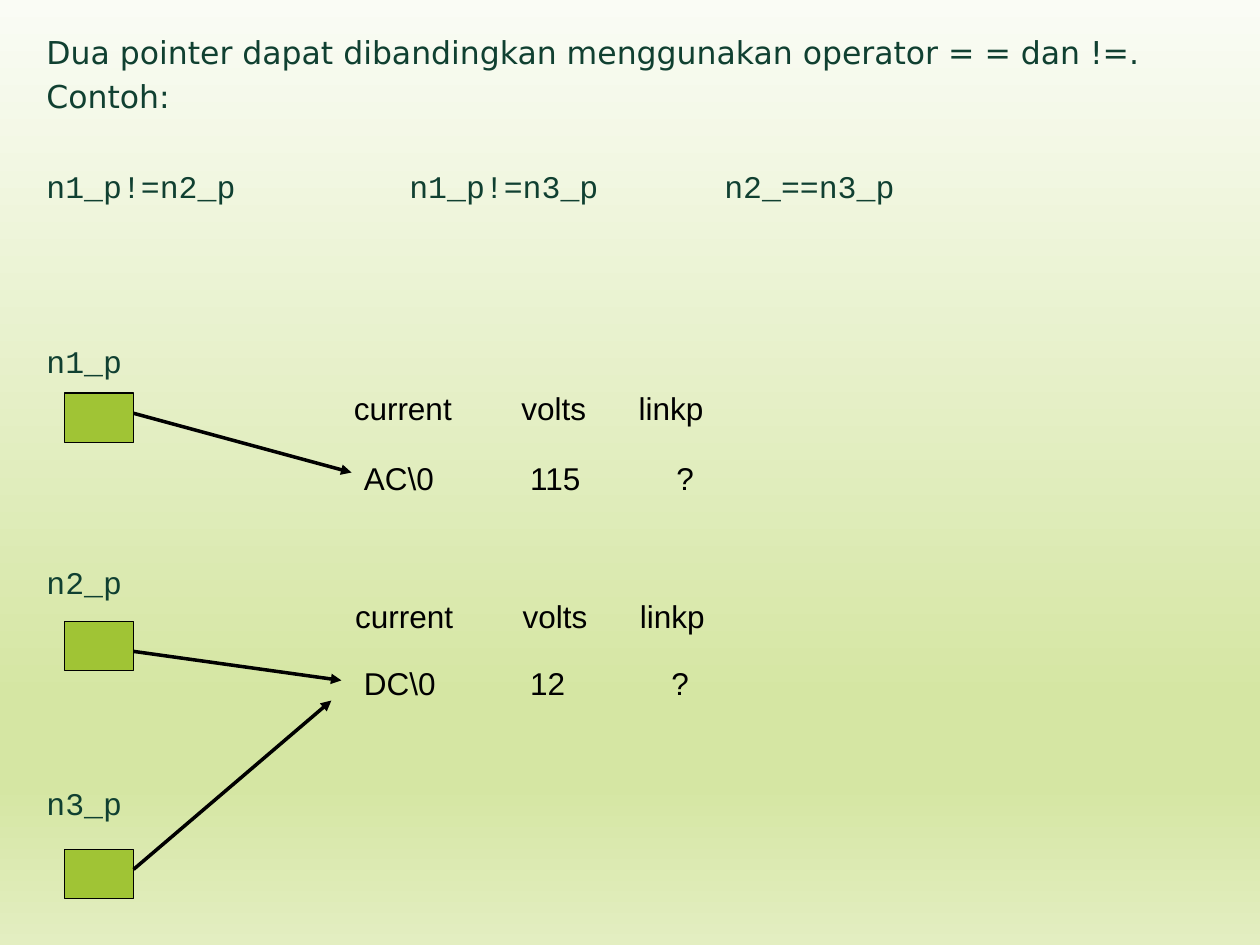
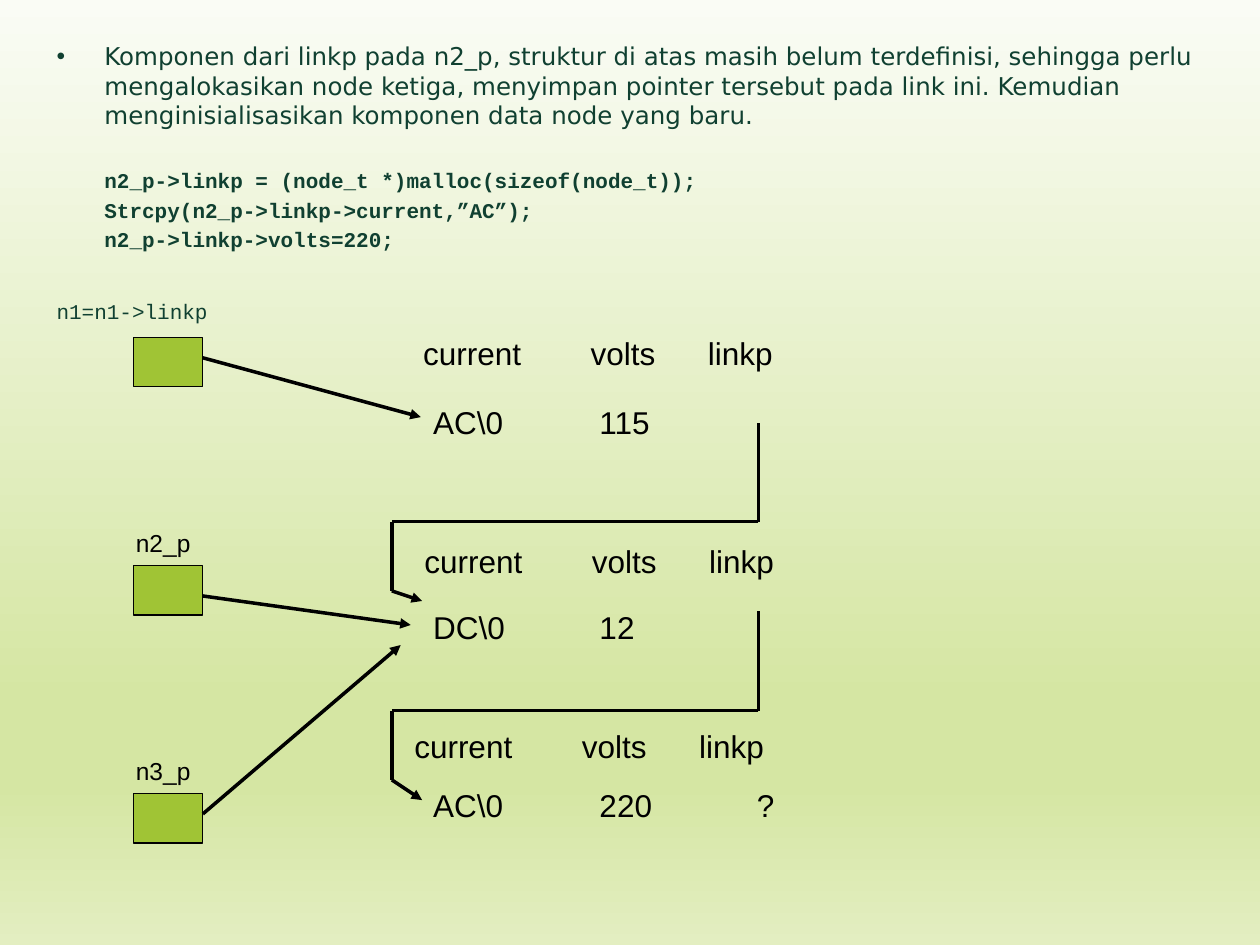
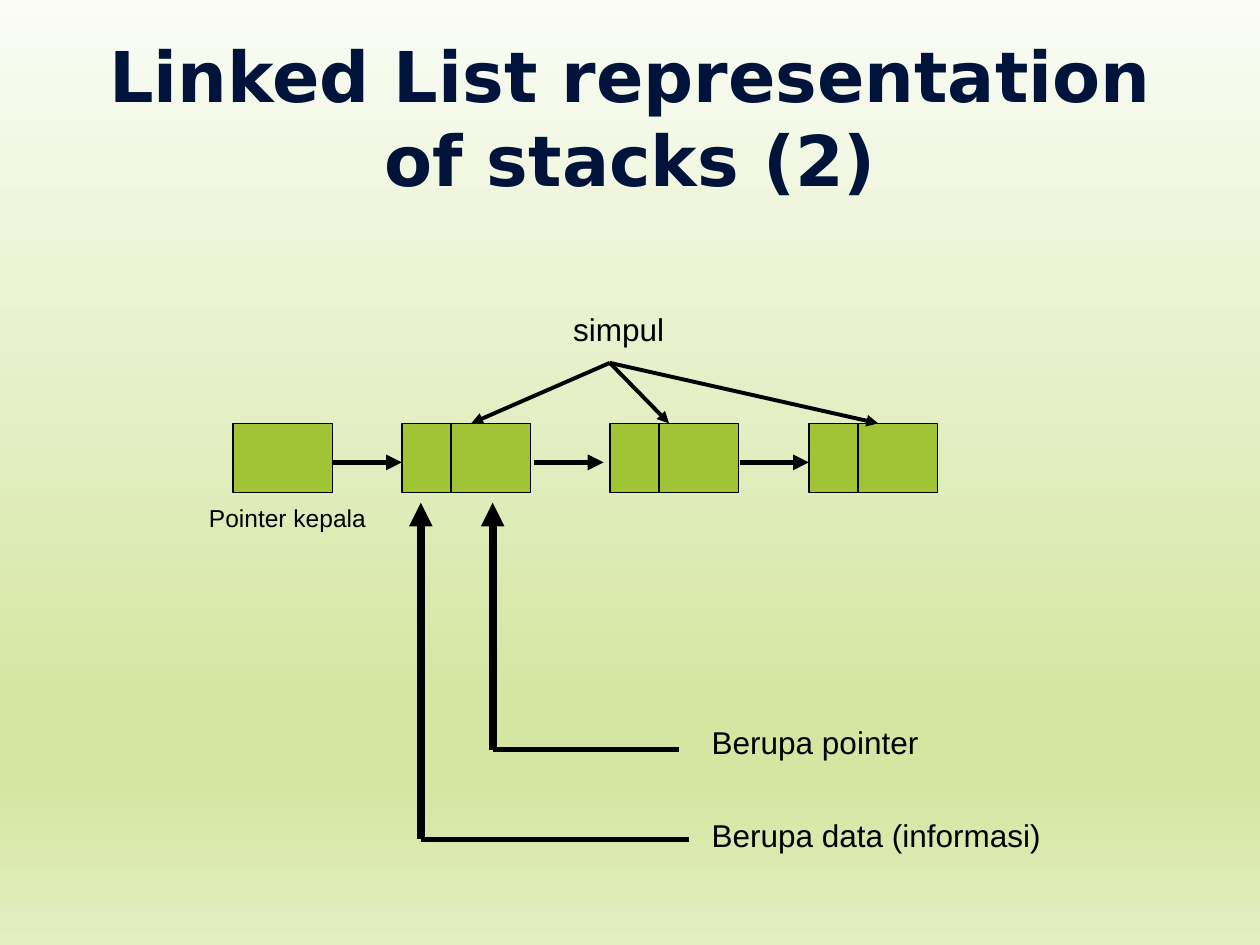
from itertools import pairwise

from lxml.etree import SubElement
from pptx import Presentation
from pptx.dml.color import RGBColor
from pptx.enum.shapes import MSO_CONNECTOR as Connector, MSO_SHAPE as Shape
from pptx.enum.text import MSO_ANCHOR as Anchor, MSO_AUTO_SIZE as AutoSize, PP_ALIGN as Align
from pptx.oxml.ns import qn
from pptx.util import Inches, Pt

BLACK = RGBColor(0x00, 0x00, 0x00)
GREEN = RGBColor(0xA0, 0xC4, 0x35)
FOREST = RGBColor(0x10, 0x40, 0x31)
NAVY = RGBColor(0x00, 0x13, 0x3A)
BACKDROP = [
    (0, RGBColor(0xFA, 0xFC, 0xF5)),
    (74, RGBColor(0xD5, 0xE6, 0xA3)),
    (83, RGBColor(0xD5, 0xE6, 0xA3)),
    (100, RGBColor(0xE3, 0xEE, 0xC1)),
]
SANS, MONO, LABEL = "DejaVu Sans", "Courier New", "Arial"
TITLE_ONLY, BLANK = 5, 6
HAIRLINE = 0

PROSE = dict(font=SANS, size=18, color=FOREST, margin=0.38, hanging=True)
CODE = dict(PROSE, font=MONO)
COMPARISON = [
    ("Dua pointer dapat dibandingkan menggunakan operator = = dan !=.", PROSE),
    ("Contoh:", dict(PROSE, before=3.6)),
    ("n1_p!=n2_p\t\t\tn1_p!=n3_p\t\tn2_==n3_p", dict(CODE, before=29.7)),
    ("n1_p", dict(CODE, before=78.9)),
    ("n2_p", dict(CODE, before=104.5)),
    ("n3_p", dict(CODE, before=104.4)),
]

SNIPPET = dict(CODE, size=12, before=2.4, bold=True, hanging=False)
ALLOCATION = [
    ("Komponen dari linkp pada n2_p, struktur di atas masih belum terdefinisi, "
     "sehingga perlu mengalokasikan node ketiga, menyimpan pointer tersebut pada "
     "link ini. Kemudian menginisialisasikan komponen data node yang baru.",
     dict(PROSE, size=14, bullet="•")),
    ("n2_p->linkp = (node_t *)malloc(sizeof(node_t));", dict(SNIPPET, before=21.7)),
    ("Strcpy(n2_p->linkp->current,”AC”);", SNIPPET),
    ("n2_p->linkp->volts=220;", SNIPPET),
    ("n1=n1->linkp", dict(SNIPPET, before=27, bold=False, margin=0)),
]

FIELDS = ["current", "volts", "linkp"]
FIELD_OFFSETS = (0, 1.33, 2.26)
FIELD_PLACES = [(2.2, -0.08), (2.21, 1.57), (2.13, 3.04)]
VALUE_LEFT, VALUE_TOPS = 2.28, [0.47, 2.1, 3.51]
OPEN_NODES = [([r"AC\0", "115", "?"], 2.48), ([r"DC\0", "12", "?"], 2.44)]
LINKED_NODES = [([r"AC\0", "115"], 2.48), ([r"DC\0", "12"], 2.48),
                ([r"AC\0", "220", "?"], 2.57)]
POINTER_STEP = 1.81
POINTER_SIZE = (0.55, 0.39)
POINTER_ARROWS = [
    ((0.55, 0.16), (2.28, 0.63)),
    ((0.55, 2.05), (2.2, 2.28)),
    ((0.55, 3.78), (2.12, 2.44)),
]
LINK_LEFT, LINK_RIGHT = 3.11, 6.02
LINKS = [(3.36, 4.77), (4.85, 6.35)]
LINK_TURNS = [(4.14, 4.69), (5.64, 6.19)]

NODE_TOP, NODE_HEIGHT = 3.36, 0.55
DATA_WIDTH, NEXT_WIDTH = 0.39, 0.63
HEAD_LEFT, HEAD_WIDTH = 1.85, 0.79
NODE_LEFTS = [3.19, 4.84, 6.42]
CHAIN_ARROWS = [(2.64, 3.19), (4.24, 4.79), (5.87, 6.42)]
FAN_START = (4.84, 2.88)
FAN_ENDS = [3.74, 5.31, 6.97]
CALLOUTS = [(3.91, 5.95, 5.39), (3.34, 6.66, 5.47)]
STACK_LABELS = [
    ("simpul", 4.45, 2.41, 1.1, 18),
    ("Pointer kepala", 1.56, 3.94, 1.58, 14),
    ("Berupa pointer", 5.55, 5.69, 1.89, 18),
    ("Berupa data (informasi)", 5.55, 6.43, 3.46, 18),
]


def write(para, text, font=LABEL, size=18, color=BLACK, bold=False,
          before=0, margin=0, hanging=False, bullet=None, align=Align.LEFT):
    span = para.add_run()
    span.text = text
    span.font.name, span.font.size, span.font.bold = font, Pt(size), bold
    span.font.color.rgb = color
    para.alignment = align
    para.space_before = Pt(before)
    style = para._p.get_or_add_pPr()
    style.set("marL", str(Inches(margin)))
    style.set("indent", str(-Inches(margin) if hanging else 0))
    if bullet:
        SubElement(style, qn("a:buFont"), typeface=LABEL)
        SubElement(style, qn("a:buChar"), char=bullet)


def add_text(page, place, paragraphs):
    box = page.shapes.add_textbox(*map(Inches, place))
    frame = box.text_frame
    frame.word_wrap = True
    for index, (text, style) in enumerate(paragraphs):
        para = frame.add_paragraph() if index else frame.paragraphs[0]
        write(para, text, **style)


def add_label(page, left, top, width, text, size=18):
    height = 0.4 if size == 18 else 0.33
    add_text(page, (left, top, width, height), [(text, dict(size=size))])


def add_row(page, left, top, texts, offsets):
    for text, offset in zip(texts, offsets):
        add_label(page, left + offset, top, 1.1, text)


def add_box(page, *place):
    box = page.shapes.add_shape(Shape.RECTANGLE, *map(Inches, place))
    box.shadow.inherit = False
    box.fill.solid()
    box.fill.fore_color.rgb = GREEN
    box.line.color.rgb = BLACK
    box.line.width = Pt(HAIRLINE)


def add_line(page, start, end, width=HAIRLINE, arrow=True):
    line = page.shapes.add_connector(Connector.STRAIGHT, *map(Inches, (*start, *end)))
    line.line.color.rgb = BLACK
    line.line.width = Pt(width)
    if arrow:
        SubElement(line.line._get_or_add_ln(), qn("a:tailEnd"), type="triangle")
    SubElement(line._element.spPr, qn("a:effectLst"))


def set_backdrop(master):
    fill = master.background.fill
    fill.gradient()
    fill.gradient_angle = 270
    stops = master.element.find(".//" + qn("a:gsLst"))
    for stop in list(stops):
        stops.remove(stop)
    for share, color in BACKDROP:
        stop = SubElement(stops, qn("a:gs"), pos=str(share * 1000))
        SubElement(stop, qn("a:srgbClr"), val=str(color))


def draw_pointers(page, left, top, nodes):
    for row in range(3):
        add_box(page, left, top + row * POINTER_STEP, *POINTER_SIZE)
    for (field_left, field_top), value_top, (values, last_offset) in zip(
            FIELD_PLACES, VALUE_TOPS, nodes):
        add_row(page, left + field_left, top + field_top, FIELDS, FIELD_OFFSETS)
        add_row(page, left + VALUE_LEFT, top + value_top, values, (0, 1.32, last_offset))
    for start, end in POINTER_ARROWS:
        add_line(page, *[(left + x, top + y) for x, y in (start, end)])


def build_comparison(deck):
    page = deck.slides.add_slide(deck.slide_layouts[BLANK])
    add_text(page, (0.27, 0.21, 9.48, 7.09), COMPARISON)
    draw_pointers(page, 0.51, 3.12, OPEN_NODES)


def build_allocation(deck):
    page = deck.slides.add_slide(deck.slide_layouts[BLANK])
    add_text(page, (0.35, 0.28, 9.32, 6.93), ALLOCATION)
    draw_pointers(page, 1.06, 2.68, LINKED_NODES)
    for row, name in enumerate(["n2_p", "n3_p"]):
        add_label(page, 0.98, 4.14 + row * POINTER_STEP, 1.02, name, size=14)
    for (start, end), (turn, drop) in zip(LINKS, LINK_TURNS):
        corners = [(LINK_RIGHT, start), (LINK_RIGHT, turn), (LINK_LEFT, turn), (LINK_LEFT, drop)]
        for pair in pairwise(corners):
            add_line(page, *pair, arrow=False)
        add_line(page, corners[-1], (3.35, end))


def build_stack(deck):
    page = deck.slides.add_slide(deck.slide_layouts[TITLE_ONLY])
    title = page.shapes.title
    title.left, title.top, title.width, title.height = map(Inches, (0.5, 0.3, 9, 1.25))
    title.text_frame.auto_size = AutoSize.NONE
    title.text_frame.vertical_anchor = Anchor.MIDDLE
    write(title.text_frame.paragraphs[0], "Linked List representation of stacks (2)",
          font=SANS, size=40, color=NAVY, bold=True, align=Align.CENTER)

    add_box(page, HEAD_LEFT, NODE_TOP, HEAD_WIDTH, NODE_HEIGHT)
    for left in NODE_LEFTS:
        add_box(page, left, NODE_TOP, DATA_WIDTH, NODE_HEIGHT)
        add_box(page, left + DATA_WIDTH, NODE_TOP, NEXT_WIDTH, NODE_HEIGHT)
    for start, end in CHAIN_ARROWS:
        add_line(page, (start, 3.67), (end, 3.67), width=3)
    for end in FAN_ENDS:
        add_line(page, FAN_START, (end, NODE_TOP), width=2.25)
    for text, left, top, width, size in STACK_LABELS:
        add_label(page, left, top, width, text, size=size)
    for left, bottom, right in CALLOUTS:
        add_line(page, (left, bottom), (left, 3.99), width=4.5)
        add_line(page, (left, bottom), (right, bottom), width=3, arrow=False)


def main():
    deck = Presentation()
    deck.slide_width, deck.slide_height = Inches(10), Inches(7.5)
    set_backdrop(deck.slide_master)
    build_comparison(deck)
    build_allocation(deck)
    build_stack(deck)
    deck.save("out.pptx")


if __name__ == "__main__":
    main()
